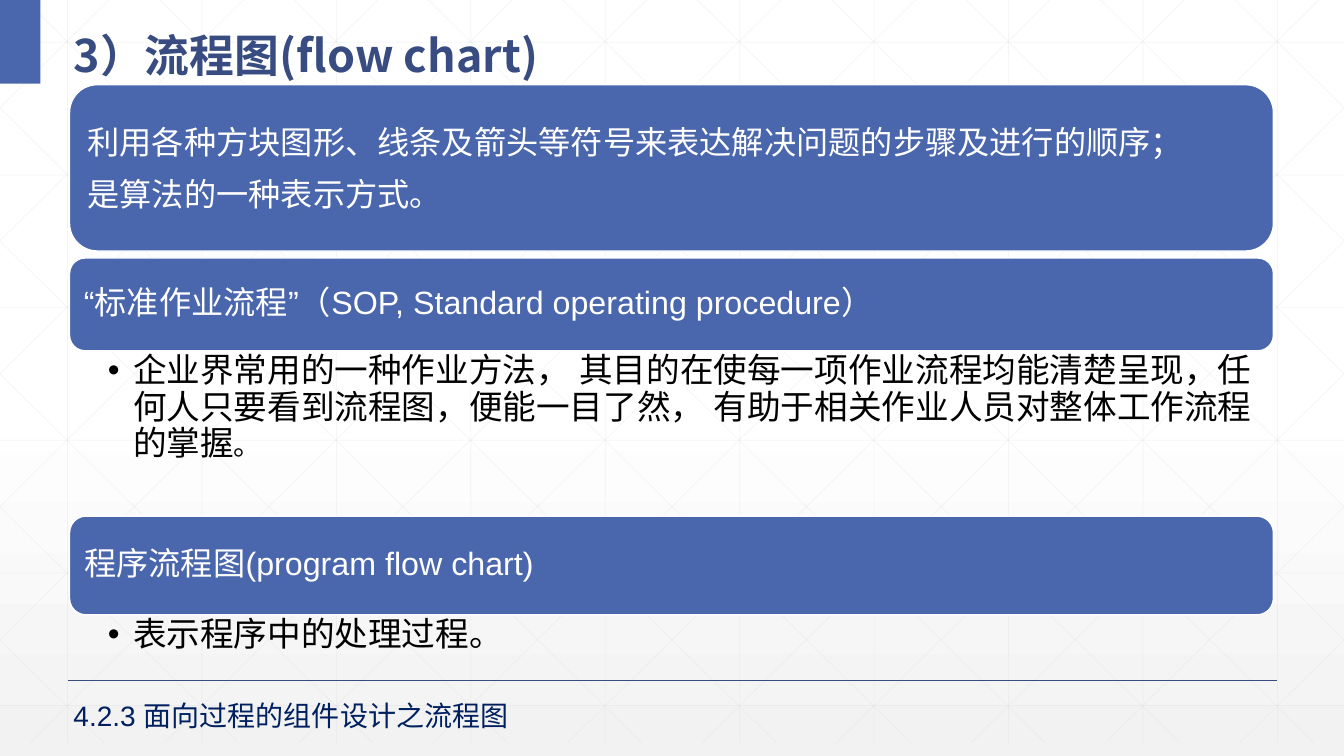
from lxml.etree import SubElement
from pptx import Presentation
from pptx.dml.color import RGBColor
from pptx.enum.lang import MSO_LANGUAGE_ID
from pptx.enum.shapes import MSO_CONNECTOR, MSO_SHAPE
from pptx.enum.text import MSO_ANCHOR, MSO_AUTO_SIZE, PP_ALIGN
from pptx.oxml.ns import qn
from pptx.util import Inches, Pt

TITLE = "3）流程图(flow chart)"
FOOTER = "4.2.3 面向过程的组件设计之流程图"
# Each band: top, height, lines, line spacing
BANDS = [
    (0.84, 1.65, ["利用各种方块图形、线条及箭头等符号来表达解决问题的步骤及进行的顺序；",
                  "是算法的一种表示方式。"], 1.0),
    (2.56, 0.92, ["“标准作业流程”（SOP, Standard operating procedure）"], 0.9),
    (5.12, 0.98, ["程序流程图(program flow chart)"], 0.9),
]
# Each note: top, height, runs of (text, size)
NOTES = [
    (3.48, 1.64, [("企业界常用的一种作业方法， 其目的在使每一项作业流程均能清楚呈现，任何人只要看到流程图，"
                   "便能一目了然， 有助于相关作业人员对整体工作流程的掌握", 24), ("。", 20)]),
    (6.1, 0.6, [("表示程序中的处理过程。", 24)]),
]
WIDE, HIGH = 13.33, 7.5
LEFT, SPAN = 0.69, 11.94
BLUE, NAVY, WHITE = "4A66AC", "384C81", "FFFFFF"
FLOOR, RUN = 7.37, 7.45     # grid depth, sideways reach of a diagonal
STEP, DROP = 4 / 3, 1.316   # grid column and row gaps


def tint(hue):
    return RGBColor.from_string(hue)


def style(run, size, hue, face="Arial", bold=False):
    font = run.font
    font.size, font.bold, font.name = Pt(size), bold, face
    font.color.rgb = tint(hue)
    font.language_id = MSO_LANGUAGE_ID.SIMPLIFIED_CHINESE
    east = SubElement(run.font._element, qn("a:ea"))
    east.set("typeface", face)


def inset(frame, left, top, right, low):
    frame.margin_left, frame.margin_top = Inches(left), Inches(top)
    frame.margin_right, frame.margin_bottom = Inches(right), Inches(low)
    frame.word_wrap = True


def line(x1, y1, x2, y2, hue, width, alpha=None):
    rule = slide.shapes.add_connector(
        MSO_CONNECTOR.STRAIGHT, *[Inches(v) for v in (x1, y1, x2, y2)])
    rule.line.color.rgb = tint(hue)
    rule.line.width = Pt(width)
    if alpha:
        clr = rule._element.find(".//" + qn("a:srgbClr"))
        SubElement(clr, qn("a:alpha")).set("val", str(alpha * 1000))
    SubElement(rule._element.spPr, qn("a:effectLst"))


def grid(x1, y1, x2, y2):
    line(x1, y1, x2, y2, "D9D9D9", 0.5, 25)


def block(kind, left, top, width, height):
    shape = slide.shapes.add_shape(
        kind, Inches(left), Inches(top), Inches(width), Inches(height))
    shape.shadow.inherit = False
    shape.fill.solid()
    shape.fill.fore_color.rgb = tint(BLUE)
    return shape


deck = Presentation()
deck.slide_width, deck.slide_height = Inches(WIDE), Inches(HIGH)
slide = deck.slides.add_slide(deck.slide_layouts[5])

# Background gradient
fill = slide.background.fill
fill.gradient()
fill.gradient_angle = 270
for stop, hue, place in zip(fill.gradient_stops, (WHITE, "F2F2F2"), (0.53, 1)):
    stop.color.rgb = tint(hue)
    stop.position = place

# Faint grid: columns, rows, then diagonals clipped to the slide
for i in range(10):
    x = 0.67 + i * STEP
    grid(x, 0, x, FLOOR)
for i in range(6):
    y = 0.42 + i * DROP
    grid(0, y, WIDE, y)
slope = FLOOR / RUN
for i in range(-5, 10):
    x = 0.25 + i * STEP
    start, end = max(x, 0), min(x + RUN, WIDE)
    top, low = (start - x) * slope, (end - x) * slope
    grid(start, top, end, low)
    grid(WIDE - start, top, WIDE - end, low)

# Footer rule and corner block
line(0.67, 6.75, 12.67, 6.75, NAVY, 1)
corner = block(MSO_SHAPE.RECTANGLE, 0, 0, 0.4, 0.83)
corner.line.fill.background()

# Title, placed above the grid
title = slide.shapes.title
title._element.getparent().append(title._element)
title.left, title.top = Inches(0.63), Inches(0.1)
title.width, title.height = Inches(12.42), Inches(0.73)
frame = title.text_frame
frame.text = TITLE
frame.auto_size = MSO_AUTO_SIZE.NONE
frame.vertical_anchor = MSO_ANCHOR.MIDDLE
inset(frame, 0.1, 0.05, 0.1, 0.05)
para = frame.paragraphs[0]
para.alignment, para.line_spacing = PP_ALIGN.LEFT, 1.3
style(para.runs[0], 32, NAVY, "Noto Sans CJK SC", True)

# Blue bands
for top, height, lines, gap in BANDS:
    band = block(MSO_SHAPE.ROUNDED_RECTANGLE, LEFT, top, SPAN, height)
    band.line.color.rgb = tint(WHITE)
    band.line.width = Pt(1)
    frame = band.text_frame
    frame.text = "\n".join(lines)
    frame.vertical_anchor = MSO_ANCHOR.MIDDLE
    inset(frame, 0.1, 0.1, 0.1, 0.1)
    for para in frame.paragraphs:
        para.alignment, para.line_spacing = PP_ALIGN.LEFT, gap
        para.space_after = Pt(9.2)
        style(para.runs[0], 23, WHITE)

# Bulleted notes
for top, height, runs in NOTES:
    note = slide.shapes.add_textbox(
        Inches(LEFT), Inches(top), Inches(SPAN), Inches(height))
    inset(note.text_frame, 0.38, 0.03, 0.19, 0.03)
    para = note.text_frame.paragraphs[0]
    para.line_spacing, para.space_after = 0.9, Pt(5)
    props = para._p.get_or_add_pPr()
    props.set("marL", str(Inches(0.25)))
    props.set("indent", str(-Inches(0.25)))
    SubElement(props, qn("a:buFont")).set("typeface", "Arial")
    SubElement(props, qn("a:buChar")).set("char", "•")
    for text, size in runs:
        run = para.add_run()
        run.text = text
        style(run, size, "000000")

# Footer
foot = slide.shapes.add_textbox(
    Inches(0.63), Inches(6.88), Inches(4.69), Inches(0.44))
foot.text_frame.word_wrap = True
foot.text_frame.text = FOOTER
style(foot.text_frame.paragraphs[0].runs[0], 20, "002060")

deck.save("out.pptx")
